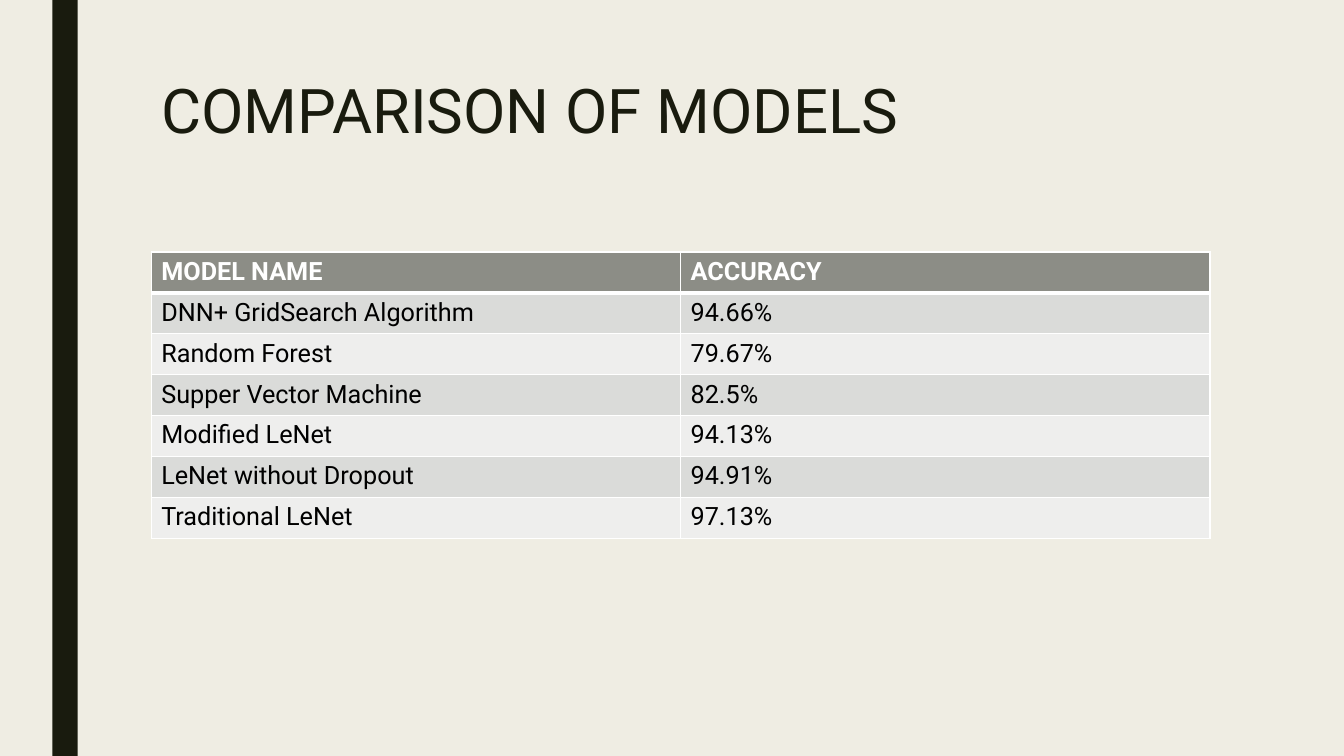
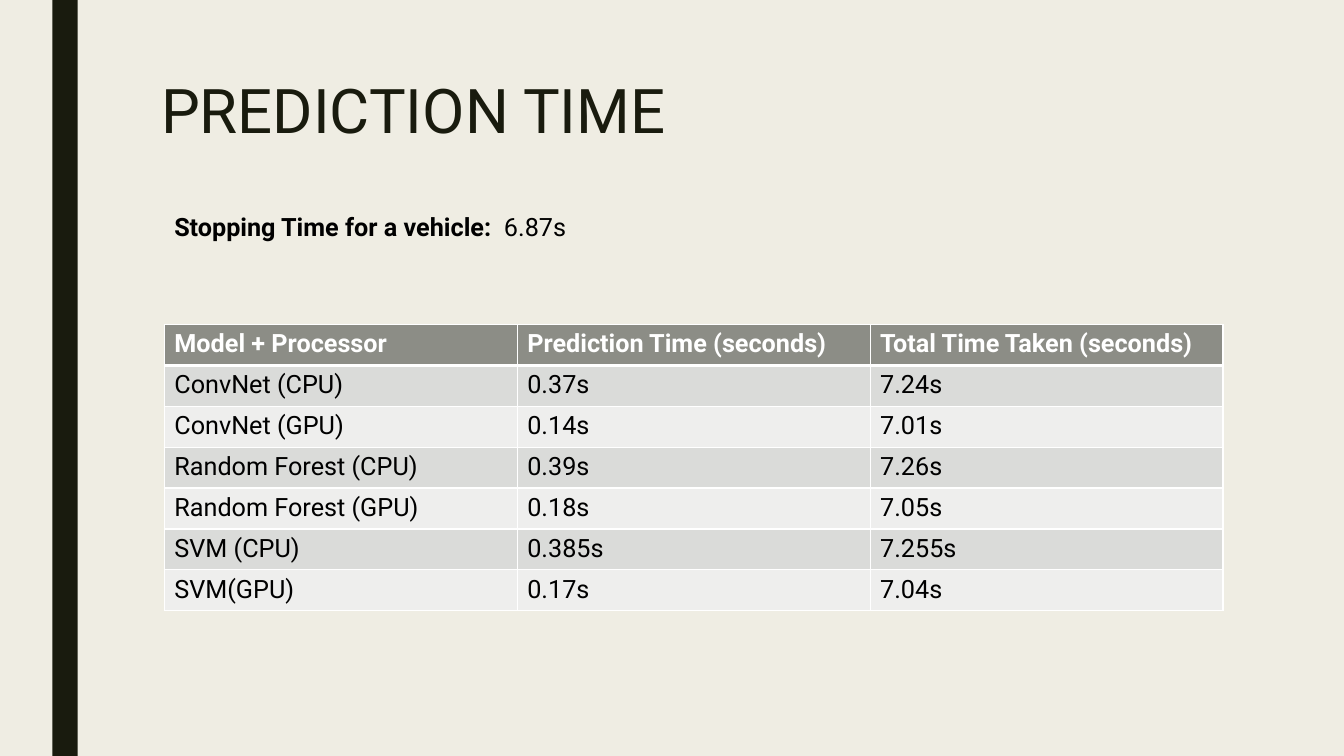
from lxml.etree import SubElement
from pptx import Presentation
from pptx.dml.color import RGBColor
from pptx.enum.shapes import MSO_SHAPE
from pptx.oxml.ns import qn
from pptx.util import Inches, Pt

FONT = "Roboto"
CREAM = RGBColor(0xEF, 0xED, 0xE3)
DARK = RGBColor(0x19, 0x1B, 0x0E)
HEADER = RGBColor(0x8C, 0x8D, 0x86)
ODD_ROW = RGBColor(0xDA, 0xDB, 0xD9)
EVEN_ROW = RGBColor(0xEE, 0xEE, 0xED)
WHITE = RGBColor(0xFF, 0xFF, 0xFF)
BLACK = RGBColor(0x00, 0x00, 0x00)

ROW_HEIGHT = 2.84 / 7

ACCURACY = [
    ("MODEL NAME", "ACCURACY"),
    ("DNN+ GridSearch Algorithm", "94.66%"),
    ("Random Forest", "79.67%"),
    ("Supper Vector Machine", "82.5%"),
    ("Modified LeNet", "94.13%"),
    ("LeNet without Dropout", "94.91%"),
    ("Traditional LeNet", "97.13%"),
]
TIMES = [
    ("Model + Processor", "Prediction Time (seconds)", "Total Time Taken (seconds)"),
    ("ConvNet (CPU)", "0.37s", "7.24s"),
    ("ConvNet (GPU)", "0.14s", "7.01s"),
    ("Random Forest (CPU)", "0.39s", "7.26s"),
    ("Random Forest (GPU)", "0.18s", "7.05s"),
    ("SVM (CPU)", "0.385s", "7.255s"),
    ("SVM(GPU)", "0.17s", "7.04s"),
]


def add_run(p, text, size=18, color=BLACK, bold=False):
    r = p.add_run()
    r.text = text
    r.font.name = FONT
    r.font.size = Pt(size)
    r.font.color.rgb = color
    r.font.bold = bold


def add_text(s, left, top, width, height, runs, spacing=None):
    tf = s.shapes.add_textbox(
        Inches(left), Inches(top), Inches(width), Inches(height)).text_frame
    tf.word_wrap = True
    p = tf.paragraphs[0]
    p.line_spacing = spacing
    for text, style in runs:
        add_run(p, text, **style)


def set_borders(cell, **widths):
    tcPr = cell._tc.get_or_add_tcPr()
    for side in "LRTB":
        ln = SubElement(tcPr, qn(f"a:ln{side}"), w=str(Pt(widths.get(side, 1))))
        fill = SubElement(ln, qn("a:solidFill"))
        SubElement(fill, qn("a:srgbClr"), val=str(WHITE))


def add_data_table(s, left, top, width, rows):
    count = len(rows[0])
    table = s.shapes.add_table(
        len(rows), count, Inches(left), Inches(top),
        Inches(width), Inches(ROW_HEIGHT * len(rows))).table
    for column in table.columns:
        column.width = Inches(width / count)
    for i, values in enumerate(rows):
        table.rows[i].height = Inches(ROW_HEIGHT)
        is_header = i == 0
        fill = HEADER if is_header else ODD_ROW if i % 2 else EVEN_ROW
        for j, value in enumerate(values):
            cell = table.cell(i, j)
            set_borders(cell, B=3 if is_header else 1, T=3 if i == 1 else 1)
            cell.fill.solid()
            cell.fill.fore_color.rgb = fill
            add_run(cell.text_frame.paragraphs[0], value,
                    color=WHITE if is_header else BLACK, bold=is_header)


def add_titled_slide(prs, title):
    s = prs.slides.add_slide(prs.slide_layouts[6])
    band = s.shapes.add_shape(
        MSO_SHAPE.RECTANGLE, Inches(0.52), 0, Inches(0.25), prs.slide_height)
    band.shadow.inherit = False
    band.fill.solid()
    band.fill.fore_color.rgb = DARK
    band.line.fill.background()
    add_text(s, 1.5, 0.75, 10.5, 1.62,
             [(title, dict(size=44, color=DARK))], spacing=0.89)
    return s


def main():
    prs = Presentation()
    prs.slide_width, prs.slide_height = Inches(13.33), Inches(7.5)
    background = prs.slide_master.background.fill
    background.solid()
    background.fore_color.rgb = CREAM

    s = add_titled_slide(prs, "COMPARISON OF MODELS")
    add_data_table(s, 1.5, 2.5, 10.5, ACCURACY)

    s = add_titled_slide(prs, "PREDICTION TIME")
    add_data_table(s, 1.63, 3.22, 10.5, TIMES)
    add_text(s, 1.63, 2.05, 4.92, 0.4,
             [("Stopping Time for a vehicle:  ", dict(bold=True)), ("6.87s", {})])

    prs.save("out.pptx")


if __name__ == "__main__":
    main()
